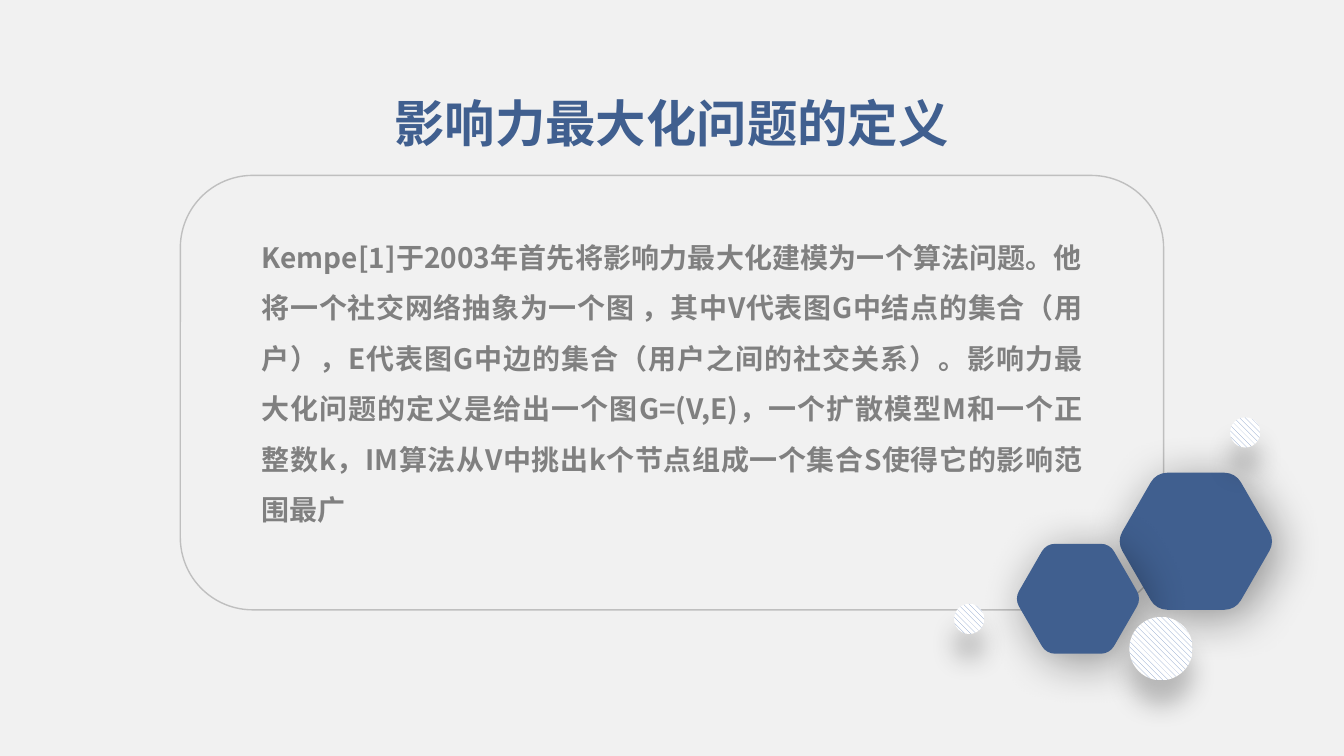
"""Build the slide that defines the influence maximization problem."""
import math

import lxml.etree
import pptx
import pptx.dml.color
import pptx.enum.dml
import pptx.enum.lang
import pptx.enum.shapes
import pptx.enum.text
import pptx.oxml.ns
import pptx.util

PX = pptx.util.Inches(0.01)
FONT = "Noto Sans CJK SC"
PAPER = pptx.dml.color.RGBColor(0xF1, 0xF1, 0xF1)
NAVY = pptx.dml.color.RGBColor(0x40, 0x5F, 0x8F)
STRIPE = pptx.dml.color.RGBColor(0x80, 0x9B, 0xC6)
WHITE = pptx.dml.color.RGBColor(0xFF, 0xFF, 0xFF)
BODY_GRAY = pptx.dml.color.RGBColor(0x80, 0x80, 0x80)
FRAME_GRAY = pptx.dml.color.RGBColor(0xBF, 0xBF, 0xBF)
BLACK = pptx.dml.color.RGBColor(0x00, 0x00, 0x00)
CHARCOAL = pptx.dml.color.RGBColor(0x26, 0x26, 0x26)

TITLE = "影响力最大化问题的定义"
DEFINITION = (
    "Kempe[1]于2003年首先将影响力最大化建模为一个算法问题。"
    "他将一个社交网络抽象为一个图 ，其中V代表图G中结点的集合（用户），"
    "E代表图G中边的集合（用户之间的社交关系）。"
    "影响力最大化问题的定义是给出一个图G=(V,E)，一个扩散模型M和一个正整数k，"
    "IM算法从V中挑出k个节点组成一个集合S使得它的影响范围最广"
)


def add_text(slide, text, x, y, w, h, *, size, color, align, spacing=1.0):
    """Add a bold, wrapped text box."""
    sp = slide.shapes.add_textbox(x * PX, y * PX, w * PX, h * PX)
    tf = sp.text_frame
    tf.word_wrap = True
    p = tf.paragraphs[0]
    p.alignment = align
    p.line_spacing = spacing
    r = p.add_run()
    r.text = text
    r.font.name = FONT
    r.font.size = pptx.util.Pt(size)
    r.font.bold = True
    r.font.color.rgb = color
    r.font.language_id = pptx.enum.lang.MSO_LANGUAGE_ID.SIMPLIFIED_CHINESE
    ea = lxml.etree.SubElement(r.font._element, pptx.oxml.ns.qn("a:ea"))
    ea.set("typeface", FONT)


def add_shadow(sp, color, alpha, blur, dist, angle):
    """Give a shape an outer shadow, with blur and distance in points."""
    qn = pptx.oxml.ns.qn
    sp.shadow.inherit = False
    effects = sp._element.spPr.find(qn("a:effectLst"))
    shadow = lxml.etree.SubElement(effects, qn("a:outerShdw"))
    shadow.set("blurRad", str(pptx.util.Pt(blur)))
    shadow.set("dist", str(pptx.util.Pt(dist)))
    shadow.set("dir", str(angle * 60000))
    shadow.set("algn", "ctr")
    shadow.set("rotWithShape", "0")
    clr = lxml.etree.SubElement(shadow, qn("a:srgbClr"))
    clr.set("val", str(color))
    lxml.etree.SubElement(clr, qn("a:alpha")).set("val", str(alpha * 1000))


def add_preset(slide, kind, x, y, w, h):
    """Add a preset shape without shadow."""
    sp = slide.shapes.add_shape(kind, x * PX, y * PX, w * PX, h * PX)
    sp.shadow.inherit = False
    return sp


def add_backdrop(slide):
    """Cover the slide with the paper colour."""
    sp = add_preset(slide, pptx.enum.shapes.MSO_SHAPE.RECTANGLE, 0, 0, 1334, 750)
    sp.fill.solid()
    sp.fill.fore_color.rgb = PAPER
    sp.line.fill.background()


def add_frame(slide, x, y, w, h):
    """Add the thin rounded outline around the definition."""
    sp = add_preset(slide, pptx.enum.shapes.MSO_SHAPE.ROUNDED_RECTANGLE, x, y, w, h)
    sp.fill.background()
    sp.line.color.rgb = FRAME_GRAY
    sp.line.width = pptx.util.Pt(1)


def curve_corners(sp):
    """Turn each run of seven line segments into two curves and a line."""
    qn = pptx.oxml.ns.qn
    lines = list(sp._element.iter(qn("a:lnTo")))
    for i in range(0, len(lines), 7):
        for start in (i, i + 3):
            curve = lxml.etree.Element(qn("a:cubicBezTo"))
            lines[start].addprevious(curve)
            for line in lines[start:start + 3]:
                curve.append(line[0])
                line.getparent().remove(line)


def add_hexagon(slide, cx, cy, height):
    """Add a flat-topped hexagon with rounded corners."""
    radius = height / math.sqrt(3)
    corner = 0.24 * radius
    reach = radius - corner / math.cos(math.pi / 6)
    handle = corner * 4 / 3 * math.tan(math.pi / 24)

    def on_corner(vertex, turn, offset):
        a, b = math.radians(vertex), math.radians(turn)
        x = cx + reach * math.cos(a) + corner * math.cos(b) - offset * math.sin(b)
        y = cy + reach * math.sin(a) + corner * math.sin(b) + offset * math.cos(b)
        return x * PX, y * PX

    steps = ((-30, 0), (-30, handle), (0, -handle), (0, 0),
             (0, handle), (30, -handle), (30, 0))
    points = [on_corner(vertex, vertex + turn, offset)
              for vertex in range(0, 360, 60) for turn, offset in steps]
    builder = slide.shapes.build_freeform(*points[0], scale=1.0)
    builder.add_line_segments(points[1:], close=True)
    sp = builder.convert_to_shape()
    curve_corners(sp)
    sp.fill.solid()
    sp.fill.fore_color.rgb = NAVY
    sp.line.fill.background()
    add_shadow(sp, BLACK, alpha=40, blur=34, dist=7, angle=45)


def add_striped_dot(slide, x, y, size):
    """Add a circle with diagonal stripes and a shadow below it."""
    sp = add_preset(slide, pptx.enum.shapes.MSO_SHAPE.OVAL, x, y, size, size)
    sp.fill.patterned()
    sp.fill.pattern = pptx.enum.dml.MSO_PATTERN.WIDE_DOWNWARD_DIAGONAL
    sp.fill.fore_color.rgb = STRIPE
    sp.fill.back_color.rgb = WHITE
    sp.line.fill.background()
    add_shadow(sp, CHARCOAL, alpha=28, blur=18, dist=18, angle=90)


def main():
    """Build and save the slide."""
    prs = pptx.Presentation()
    prs.slide_width = 1334 * PX
    prs.slide_height = 750 * PX
    slide = prs.slides.add_slide(prs.slide_layouts[6])

    align = pptx.enum.text.PP_ALIGN
    add_backdrop(slide)
    add_frame(slide, 179, 174, 976, 431)
    add_text(slide, DEFINITION, 250, 217, 834, 313, size=20, color=BODY_GRAY,
             align=align.JUSTIFY, spacing=1.5)
    add_text(slide, TITLE, 379, 86, 575, 71, size=36, color=NAVY, align=align.CENTER)
    for cx, cy, height in ((1187, 537, 136), (1070, 594, 109)):
        add_hexagon(slide, cx, cy, height)
    for x, y, size in ((947, 599, 30), (1121, 612, 63), (1221, 414, 30)):
        add_striped_dot(slide, x, y, size)
    prs.save("out.pptx")


if __name__ == "__main__":
    main()
